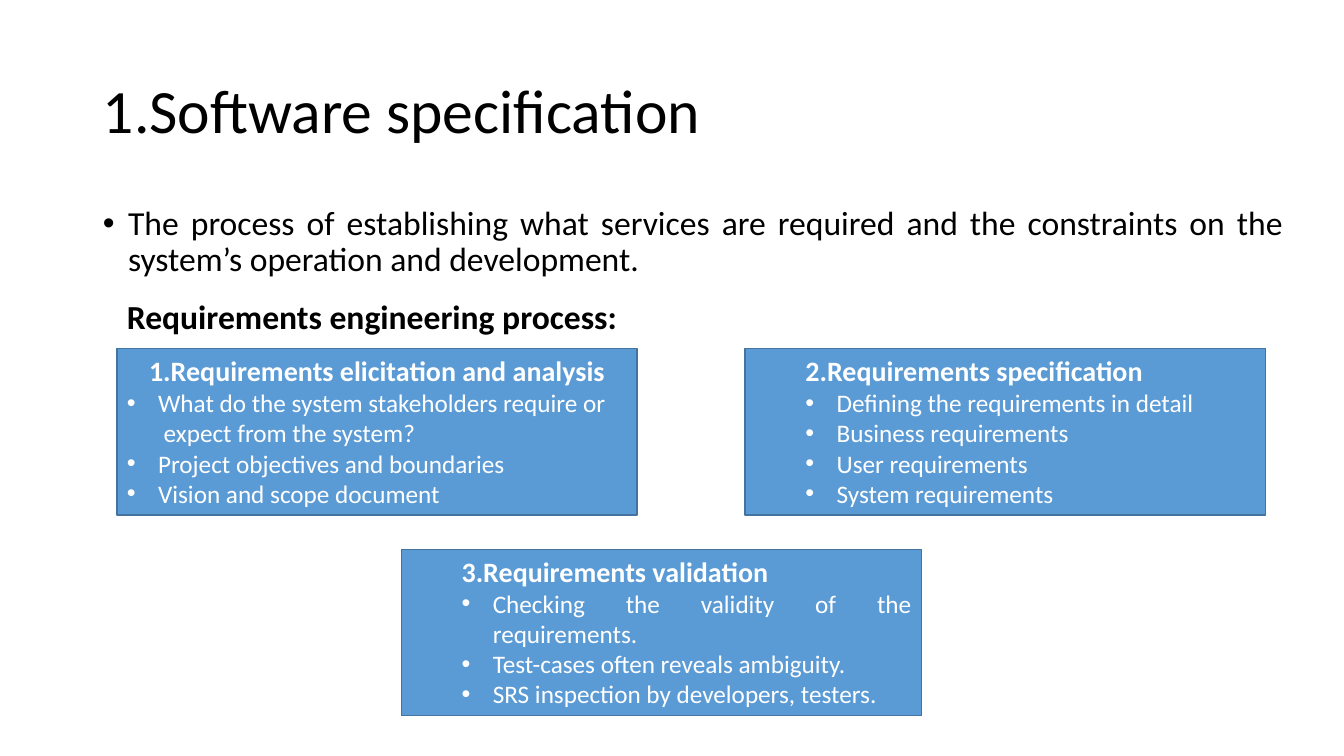
from pptx import Presentation
from pptx.dml.color import RGBColor
from pptx.enum.shapes import MSO_SHAPE
from pptx.enum.text import MSO_ANCHOR, MSO_AUTO_SIZE, PP_ALIGN
from pptx.util import Inches, Pt
from lxml import etree

RECT = MSO_SHAPE.RECTANGLE
TOP, MID = MSO_ANCHOR.TOP, MSO_ANCHOR.MIDDLE
GROW, FIXED = MSO_AUTO_SIZE.SHAPE_TO_FIT_TEXT, MSO_AUTO_SIZE.NONE
LEFT, CENTER, JUST = PP_ALIGN.LEFT, PP_ALIGN.CENTER, PP_ALIGN.JUSTIFY
BLACK = RGBColor(0x00, 0x00, 0x00)
WHITE = RGBColor(0xFF, 0xFF, 0xFF)
BLUE = RGBColor(0x5B, 0x9B, 0xD5)
EDGE = RGBColor(0x43, 0x73, 0x9E)
NS = "http://schemas.openxmlformats.org/drawingml/2006/main"

# Content
TITLE = "1.Software specification"
INTRO = ("The process of establishing what services are required and "
         "the constraints on the system’s operation and development.")
LABEL = "Requirements engineering process:"
# Each step: column, row, indent, heading, heading alignment, items
STEPS = [
    (0, 0, 0, "1.Requirements elicitation and analysis", CENTER, [
        ("What do the system stakeholders require or\v expect from the system?", LEFT),
        ("Project objectives and boundaries", JUST),
        ("Vision and scope document", LEFT)]),
    (2, 0, 0.5, "2.Requirements specification", JUST, [
        ("Defining the requirements in detail", JUST),
        ("Business requirements", JUST),
        ("User requirements", JUST),
        ("System requirements", JUST)]),
    (1, 1, 0.5, "3.Requirements validation", JUST, [
        ("Checking the validity of the requirements.", JUST),
        ("Test-cases often reveals ambiguity.", JUST),
        ("SRS inspection by developers, testers.", JUST)]),
]

# Grid of step boxes, in inches
WIDE, HIGH = 13.33, 7.5
X0, Y0 = 1.16, 3.46
COL, ROW = 3.115, 1.99
BOX_W, BOX_H = 5.16, 1.65
HANG = 0.31
NUDGE = {1: -0.295}  # the lower box sits left of the middle column


def place(shape, left, top, width, height):
    box = dict(left=left, top=top, width=width, height=height)
    for name, value in box.items():
        setattr(shape, name, Inches(value))


def write(para, text, size, color, bold=False, **format):
    para.text = text
    for name, value in format.items():
        setattr(para, name, value)
    font = dict(name="Calibri", size=Pt(size), bold=bold)
    for name, value in font.items():
        setattr(para.font, name, value)
    para.font.color.rgb = color
    for run in para.runs:
        for name, value in font.items():
            setattr(run.font, name, value)
        run.font.color.rgb = color


def indent(para, left, hang=0):
    props = para._p.get_or_add_pPr()
    props.set("marL", str(Inches(left + hang)))
    props.set("indent", str(Inches(-hang)))
    if hang:
        face = etree.SubElement(props, f"{{{NS}}}buFont")
        face.set("typeface", "Arial")
        mark = etree.SubElement(props, f"{{{NS}}}buChar")
        mark.set("char", "•")


deck = Presentation()
deck.slide_width, deck.slide_height = Inches(WIDE), Inches(HIGH)
slide = deck.slides.add_slide(deck.slide_layouts[1])

# Title and introduction
title, body = slide.placeholders
place(title, 0.92, 0.4, 11.5, 1.45)
title.text_frame.vertical_anchor = MID
title.text_frame.auto_size = FIXED
write(title.text_frame.paragraphs[0], TITLE, 44, BLACK,
      alignment=LEFT, line_spacing=0.9)
place(body, 0.92, 2, 11.91, 1.04)
body.text_frame.auto_size = FIXED
intro = body.text_frame.paragraphs[0]
write(intro, INTRO, 24, BLACK, alignment=JUST,
      line_spacing=0.9, space_before=Pt(10))
indent(intro, 0, 0.25)

# Step boxes
for col, row, inset, head, align, items in STEPS:
    box = slide.shapes.add_shape(RECT, 0, 0, 0, 0)
    place(box, X0 + col * COL + NUDGE.get(row, 0), Y0 + row * ROW, BOX_W, BOX_H)
    box.shadow.inherit = False
    box.fill.solid()
    box.fill.fore_color.rgb = BLUE
    box.line.color.rgb = EDGE
    box.line.width = Pt(1)
    frame = box.text_frame
    for name, value in dict(word_wrap=True, auto_size=GROW,
                            vertical_anchor=TOP).items():
        setattr(frame, name, value)
    level = 1 if inset else 0
    first = frame.paragraphs[0]
    write(first, head, 20, WHITE, True, alignment=align, level=level)
    indent(first, inset)
    for text, side in items:
        para = frame.add_paragraph()
        write(para, text, 18, WHITE, alignment=side, level=level)
        indent(para, inset, HANG)

# Label above the boxes
label = slide.shapes.add_textbox(0, 0, 0, 0)
place(label, X0, 2.89, 5.11, 0.5)
label.text_frame.word_wrap = False
label.text_frame.auto_size = GROW
write(label.text_frame.paragraphs[0], LABEL, 24, BLACK, True)

deck.save("out.pptx")
